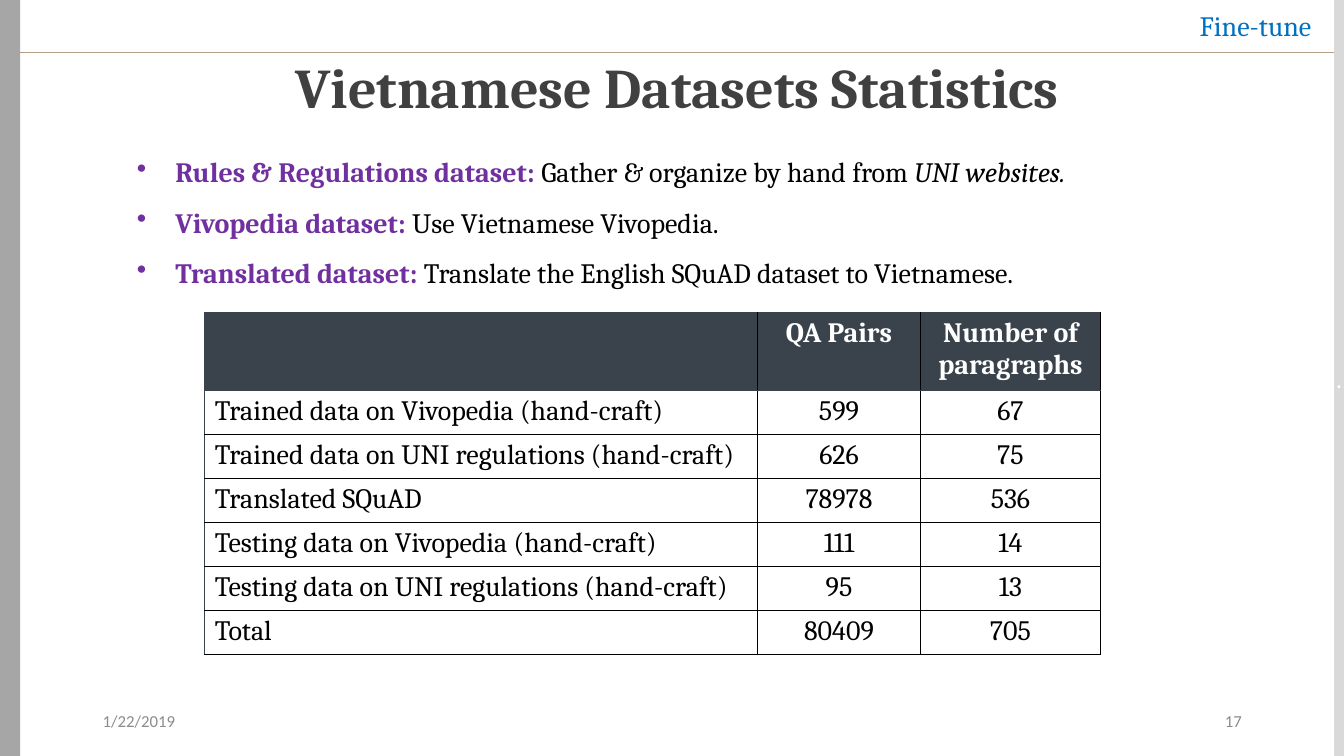
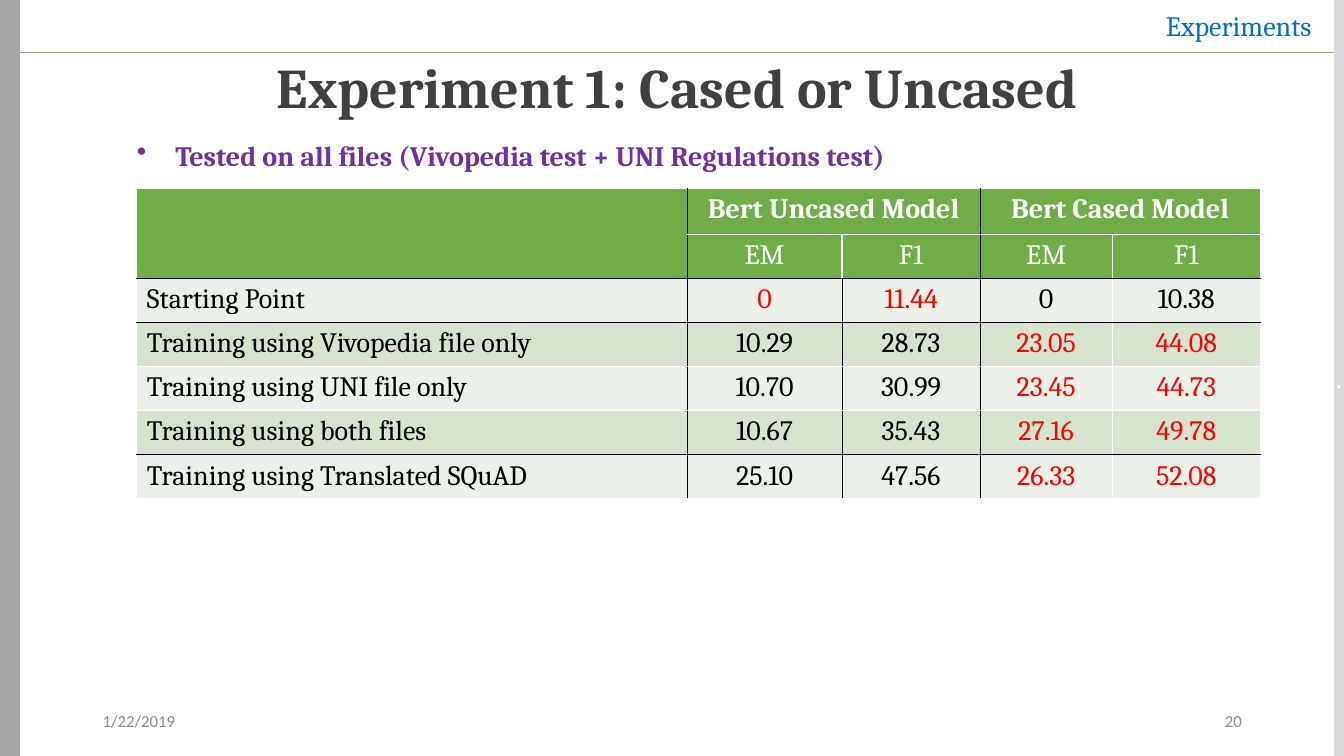
from dataclasses import dataclass

from lxml.etree import SubElement
from pptx import Presentation
from pptx.dml.color import RGBColor
from pptx.enum.shapes import MSO_CONNECTOR, MSO_SHAPE
from pptx.enum.text import MSO_ANCHOR, PP_ALIGN
from pptx.oxml.ns import qn
from pptx.util import Cm, Pt


@dataclass(frozen=True)
class Theme:
    serif: str = "Cambria"
    sans: str = "Calibri"
    title_size: int = 40
    body_size: int = 20
    band_size: int = 18
    footer_size: int = 12
    title: str = "404040"
    section: str = "0070C0"
    accent: str = "7030A0"
    footer: str = "8C8C8C"
    rule: str = "B59D83"
    left_band: str = "A6A6A6"
    right_band: str = "D9D9D9"
    black: str = "000000"
    white: str = "FFFFFF"
    slate: str = "3A434C"
    green: str = "70AD47"
    pale: str = "EBF1E9"
    light_green: str = "D5E3CF"
    best: str = "FF0000"


THEME = Theme()
SLIDE_WIDTH, SLIDE_HEIGHT = 33.87, 19.05
LEFT_BAND, RIGHT_BAND, RULE_TOP = 0.51, 0.25, 1.32
BODY_LEFT, BODY_TOP, BODY_WIDTH = 3.45, 3.48, 28.6
ROW_HEIGHT, BULLET_INDENT = 1.11, 0.97
DATE = "1/22/2019"
NO_TABLE_STYLE = "{2D5ABB26-0587-4C30-8999-92F81FD0307C}"

# Cell borders: colour and width in points
SLATE_LINE = (THEME.slate, 0.5)
WHITE_LINE = (THEME.white, 1)
BLACK_LINE = (THEME.black, 0.75)
THIN_LINE = (THEME.black, 0.25)
THICK_LINE = (THEME.black, 1)

# Content: each bullet is (label, plain text, italic text)
SLIDES = [
    {
        "section": "Fine-tune",
        "title": "Vietnamese Datasets Statistics",
        "number": "17",
        "line_spacing": 1.5,
        "bullets": [
            ("Rules & Regulations dataset: ", "Gather & organize by hand from ", "UNI websites."),
            ("Vivopedia dataset: ", "Use Vietnamese Vivopedia.", ""),
            ("Translated dataset: ", "Translate the English SQuAD dataset to Vietnamese.", ""),
        ],
        "table": {
            "left": 5.16, "top": 7.87, "header_height": 1.96,
            "columns": [13.94, 4.09, 4.55],
            "header": [["", "QA Pairs", "Number of paragraphs"]],
            "body": [
                ["Trained data on Vivopedia (hand-craft)", "599", "67"],
                ["Trained data on UNI regulations (hand-craft)", "626", "75"],
                ["Translated SQuAD", "78978", "536"],
                ["Testing data on Vivopedia (hand-craft)", "111", "14"],
                ["Testing data on UNI regulations (hand-craft)", "95", "13"],
                ["Total", "80409", "705"],
            ],
            "merges": [],
            "header_fill": THEME.slate,
            "row_fills": [THEME.white],
            "header_edges": [SLATE_LINE] + [BLACK_LINE] * 3,
            "body_edges": [SLATE_LINE] + [BLACK_LINE] * 3,
            "row_edges": [SLATE_LINE, SLATE_LINE, THIN_LINE, THIN_LINE,
                          THICK_LINE, THIN_LINE, THICK_LINE, THICK_LINE],
            "compare_models": False,
        },
    },
    {
        "section": "Experiments",
        "title": "Experiment 1: Cased or Uncased",
        "number": "20",
        "line_spacing": 1.0,
        "bullets": [("Tested on all files (Vivopedia test + UNI Regulations test)", "", "")],
        "table": {
            "left": BODY_LEFT, "top": 4.74, "header_height": 1.17,
            "columns": [13.87, 3.9, 3.48, 3.33, 3.73],
            "header": [
                ["", "Bert Uncased Model", "", "Bert Cased Model", ""],
                ["", "EM", "F1", "EM", "F1"],
            ],
            "body": [
                ["Starting Point", "0", "11.44", "0", "10.38"],
                ["Training using Vivopedia file only", "10.29", "28.73", "23.05", "44.08"],
                ["Training using UNI file only", "10.70", "30.99", "23.45", "44.73"],
                ["Training using both files", "10.67", "35.43", "27.16", "49.78"],
                ["Training using Translated SQuAD", "25.10", "47.56", "26.33", "52.08"],
            ],
            "merges": [((0, 0), (1, 0)), ((0, 1), (0, 2)), ((0, 3), (0, 4))],
            "header_fill": THEME.green,
            "row_fills": [THEME.pale, THEME.light_green],
            "header_edges": [WHITE_LINE, BLACK_LINE, WHITE_LINE, BLACK_LINE, WHITE_LINE, WHITE_LINE],
            "body_edges": [WHITE_LINE, BLACK_LINE, None, BLACK_LINE, WHITE_LINE, WHITE_LINE],
            "row_edges": [WHITE_LINE, WHITE_LINE, BLACK_LINE, BLACK_LINE,
                          WHITE_LINE, WHITE_LINE, BLACK_LINE, WHITE_LINE],
            "compare_models": True,
        },
    },
]


# Text helpers
def style_font(font, size, color, name=THEME.serif, bold=False):
    font.name, font.size, font.bold = name, Pt(size), bold
    font.color.rgb = RGBColor.from_string(color)


def add_text_box(page, left, top, width, height, inset=None):
    box = page.shapes.add_textbox(Cm(left), Cm(top), Cm(width), Cm(height))
    frame = box.text_frame
    frame.word_wrap = True
    if inset is not None:
        frame.margin_left = frame.margin_right = Cm(inset)
        frame.margin_top = frame.margin_bottom = Cm(inset)
    return frame


def write_line(frame, text, align, size, color, name=THEME.serif, bold=False):
    para = frame.paragraphs[0]
    para.text, para.alignment = text, align
    style_font(para.font, size, color, name, bold)


# Shared page parts
def add_band(page, left, width, color):
    band = page.shapes.add_shape(MSO_SHAPE.RECTANGLE, Cm(left), 0, Cm(width), Cm(SLIDE_HEIGHT))
    band.shadow.inherit = False
    band.fill.solid()
    band.fill.fore_color.rgb = RGBColor.from_string(color)
    band.line.fill.background()
    return band


def add_frame(page, section, title, number):
    write_line(add_text_box(page, 1.19, RULE_TOP, 31.75, 1.7, inset=0), title,
               PP_ALIGN.CENTER, THEME.title_size, THEME.title, bold=True)
    right_edge = SLIDE_WIDTH - RIGHT_BAND
    band = add_band(page, right_edge, RIGHT_BAND, THEME.right_band)
    band.text_frame.vertical_anchor = MSO_ANCHOR.MIDDLE
    write_line(band.text_frame, ".", PP_ALIGN.CENTER, THEME.band_size, THEME.white, THEME.sans)
    add_band(page, 0, LEFT_BAND, THEME.left_band)

    for left, text, align in ((2.34, DATE, PP_ALIGN.LEFT), (23.93, number, PP_ALIGN.RIGHT)):
        footer = add_text_box(page, left, 17.65, 7.62, 1.02)
        footer.vertical_anchor = MSO_ANCHOR.MIDDLE
        write_line(footer, text, align, THEME.footer_size, THEME.footer, THEME.sans)

    rule = page.shapes.add_connector(
        MSO_CONNECTOR.STRAIGHT, Cm(LEFT_BAND), Cm(RULE_TOP), Cm(right_edge), Cm(RULE_TOP))
    rule.line.color.rgb = RGBColor.from_string(THEME.rule)
    rule.line.width = Pt(0.5)
    SubElement(rule.element.spPr, qn("a:effectLst"))
    write_line(add_text_box(page, 22.22, 0.1, 11.08, 1.12), section,
               PP_ALIGN.RIGHT, THEME.body_size, THEME.section)


# Bullets
def add_bullets(page, bullets, line_spacing):
    frame = add_text_box(page, BODY_LEFT, BODY_TOP, BODY_WIDTH, len(bullets) * 1.3, inset=0)
    for index, (label, plain, italic) in enumerate(bullets):
        para = frame.add_paragraph() if index else frame.paragraphs[0]
        para.line_spacing = line_spacing
        para.font.name, para.font.size = THEME.serif, Pt(THEME.body_size)
        properties = para._p.get_or_add_pPr()
        properties.set("marL", str(Cm(BULLET_INDENT)))
        properties.set("indent", str(-Cm(BULLET_INDENT)))
        bullet = properties.makeelement(qn("a:buChar"), {"char": "•"})
        properties.find(qn("a:defRPr")).addprevious(bullet)
        for text, color in ((label, THEME.accent), (plain, THEME.black), (italic, THEME.black)):
            if text:
                span = para.add_run()
                span.text = text
                style_font(span.font, THEME.body_size, color, bold=text is label)
                span.font.italic = text is italic


# Tables
def set_borders(cell, row, column, column_edges, row_edges):
    edges = {
        "a:lnL": column_edges[column],
        "a:lnR": column_edges[column + cell.span_width],
        "a:lnT": row_edges[row],
        "a:lnB": row_edges[row + cell.span_height],
    }
    properties = cell._tc.get_or_add_tcPr()
    for tag, edge in edges.items():
        if edge:
            color, width = edge
            line = SubElement(properties, qn(tag), w=str(Pt(width)))
            SubElement(SubElement(line, qn("a:solidFill")), qn("a:srgbClr"), val=color)


def best_columns(values):
    """Columns of the model with the higher F1 score."""
    return (1, 2) if float(values[2]) > float(values[4]) else (3, 4)


def add_data_table(page, spec):
    rows = spec["header"] + spec["body"]
    header_count = len(spec["header"])
    heights = [spec["header_height"]] + [ROW_HEIGHT] * (len(rows) - 1)
    table = page.shapes.add_table(
        len(rows), len(spec["columns"]), Cm(spec["left"]), Cm(spec["top"]),
        Cm(sum(spec["columns"])), Cm(sum(heights))).table
    table.first_row = table.horz_banding = False
    table._tbl.tblPr.find(qn("a:tableStyleId")).text = NO_TABLE_STYLE
    for column, width in zip(table.columns, spec["columns"]):
        column.width = Cm(width)
    for table_row, height in zip(table.rows, heights):
        table_row.height = Cm(height)
    for first, last in spec["merges"]:
        table.cell(*first).merge(table.cell(*last))

    for row, values in enumerate(rows):
        is_header = row < header_count
        fills = [spec["header_fill"]] if is_header else spec["row_fills"]
        fill = fills[(row - header_count) % len(fills)]
        best = best_columns(values) if spec["compare_models"] and not is_header else ()
        for column, text in enumerate(values):
            cell = table.cell(row, column)
            if not cell.is_spanned:
                edges = spec["header_edges"] if is_header else spec["body_edges"]
                set_borders(cell, row, column, edges, spec["row_edges"])
            cell.fill.solid()
            cell.fill.fore_color.rgb = RGBColor.from_string(fill)
            if text:
                color = THEME.white if is_header else THEME.best if column in best else THEME.black
                align = PP_ALIGN.CENTER if column else PP_ALIGN.LEFT
                write_line(cell.text_frame, text, align, THEME.body_size, color, bold=row == 0)


def main():
    deck = Presentation()
    deck.slide_width, deck.slide_height = Cm(SLIDE_WIDTH), Cm(SLIDE_HEIGHT)
    for content in SLIDES:
        page = deck.slides.add_slide(deck.slide_layouts[6])
        add_frame(page, content["section"], content["title"], content["number"])
        add_bullets(page, content["bullets"], content["line_spacing"])
        add_data_table(page, content["table"])
    deck.save("out.pptx")


if __name__ == "__main__":
    main()
